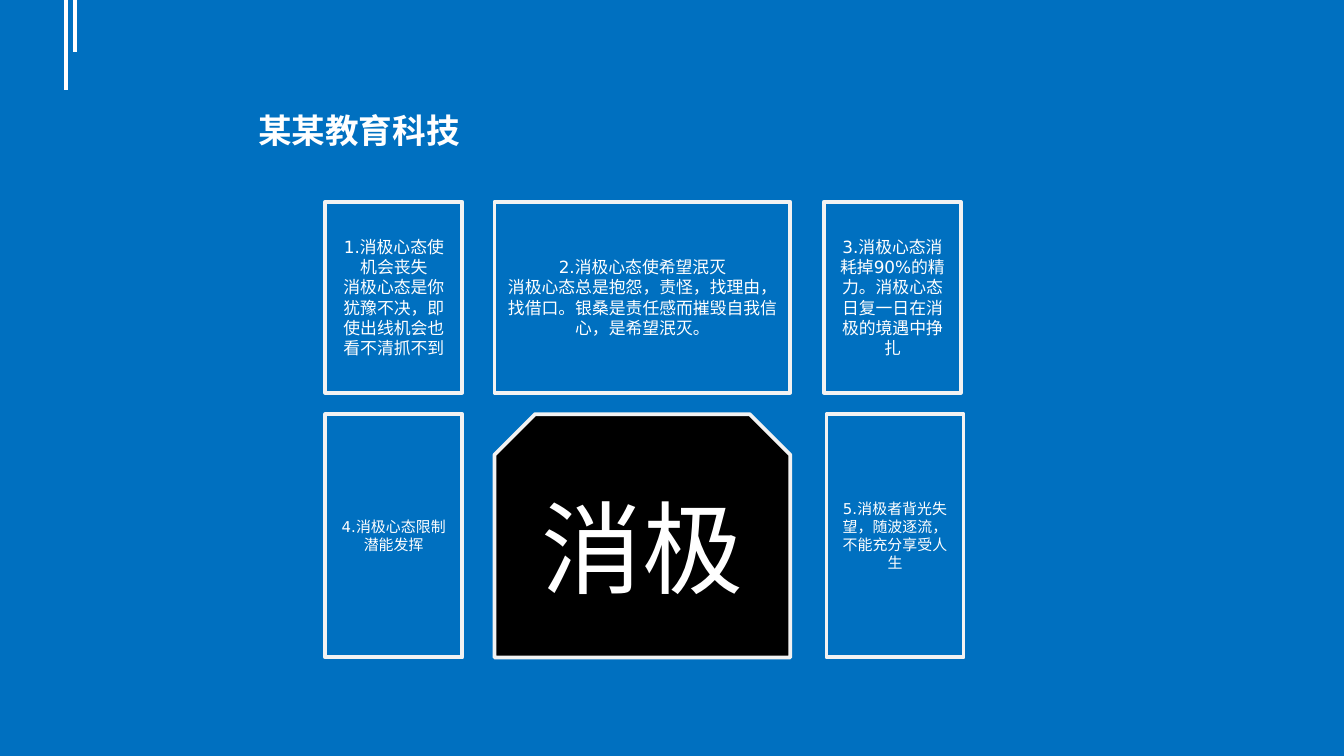
from dataclasses import dataclass

from lxml import etree
from pptx import Presentation
from pptx import util as u
from pptx.dml.color import RGBColor
from pptx.enum import shapes, text
from pptx.oxml.ns import qn


@dataclass(frozen=True)
class Theme:
    blue: RGBColor = RGBColor(0x00, 0x70, 0xC0)
    white: RGBColor = RGBColor(0xFF, 0xFF, 0xFF)
    black: RGBColor = RGBColor(0x00, 0x00, 0x00)
    border: RGBColor = RGBColor(0xF2, 0xF2, 0xF2)
    font: str = "DejaVu Sans"
    title: u.Length = u.Pt(18)
    body: u.Length = u.Pt(9)
    small: u.Length = u.Pt(8)
    hero: u.Length = u.Pt(54)
    frame: u.Length = u.Pt(2)
    stripe: u.Length = u.Pt(2.25)


T = Theme()
W = u.Inches(10)
H = W * 9 // 16
GRID_COLUMNS, GRID_ROWS = 4.75, 3.39
COLUMNS = (1.02, 2.2, 1.02)
COLUMN_GAPS = ((0.24, 0.25), (0.24, 0.27))
ROWS, ROW_GAPS = (1.42, 1.81), (0.16,)
RECT = shapes.MSO_SHAPE.RECTANGLE
SNIPPED = shapes.MSO_SHAPE.SNIP_2_SAME_RECTANGLE

CARDS = [
    (1, 1, SNIPPED, T.black, T.hero, ["消极"]),
    (1, 0, RECT, T.blue, T.body,
     ["2.消极心态使希望泯灭",
      "消极心态总是抱怨，责怪，找理由，找借口。银桑是责任感而摧毁自我信心，是希望泯灭。"]),
    (0, 0, RECT, T.blue, T.body,
     ["1.消极心态使机会丧失", "消极心态是你犹豫不决，即使出线机会也看不清抓不到"]),
    (0, 1, RECT, T.blue, T.small, ["4.消极心态限制潜能发挥"]),
    (2, 0, RECT, T.blue, T.body,
     ["3.消极心态消耗掉90%的精力。消极心态日复一日在消极的境遇中挣扎"]),
    (2, 1, RECT, T.blue, T.small, ["5.消极者背光失望，随波逐流，不能充分享受人生"]),
]


def percent(x, y, w, h):
    return tuple(int(side * part / 100)
                 for side, part in ((W, x), (H, y), (W, w), (H, h)))


def tracks(start, unit, sizes, gaps):
    spans = []
    for size, gap in zip(sizes, (*gaps, 0)):
        spans.append((int(start), int(size * unit)))
        start += (size + gap) * unit
    return spans


def write(tf, lines, size, align, bold=False):
    tf.word_wrap = True
    tf.text = "\n".join(lines)
    for p in tf.paragraphs:
        p.alignment = align
        p.font.name, p.font.size, p.font.bold = T.font, size, bold
        p.font.color.rgb = T.white


def add_stripes(s, box):
    left, top, width, height = box
    for x, drop in ((left, height), (left + width, int(height * 0.58))):
        line = s.shapes.add_connector(
            shapes.MSO_CONNECTOR.STRAIGHT, x, top, x, top + drop)
        line.line.color.rgb = T.white
        line.line.width = T.stripe
        etree.SubElement(line._element.spPr, qn("a:effectLst"))


def add_title(s, box, words):
    sp = s.shapes.title
    sp.left, sp.top, sp.width, sp.height = box
    tf = sp.text_frame
    tf.auto_size = text.MSO_AUTO_SIZE.NONE
    tf.vertical_anchor = text.MSO_ANCHOR.TOP
    write(tf, [words], T.title, text.PP_ALIGN.LEFT, bold=True)


def add_cards(s, box):
    left, top, width, height = box
    columns = [tracks(left, width / GRID_COLUMNS, COLUMNS, gaps)
               for gaps in COLUMN_GAPS]
    rows = tracks(top, height / GRID_ROWS, ROWS, ROW_GAPS)
    for column, row, kind, fill, size, lines in CARDS:
        (x, w), (y, h) = columns[row][column], rows[row]
        sp = s.shapes.add_shape(kind, x, y, w, h)
        sp.shadow.inherit = False
        sp.fill.solid()
        sp.fill.fore_color.rgb = fill
        sp.line.color.rgb = T.border
        sp.line.width = T.frame
        sp.text_frame.vertical_anchor = text.MSO_ANCHOR.MIDDLE
        write(sp.text_frame, lines, size, text.PP_ALIGN.CENTER)


def main():
    prs = Presentation()
    prs.slide_width, prs.slide_height = W, H
    s = prs.slides.add_slide(prs.slide_layouts[5])
    s.background.fill.solid()
    s.background.fill.fore_color.rgb = T.blue
    add_stripes(s, percent(4.9, 0, 0.7, 11.9))
    add_title(s, percent(18.2, 13.7, 78.7, 11.38), "某某教育科技")
    add_cards(s, percent(24.2, 26.7, 47.5, 60.27))
    prs.save("out.pptx")


if __name__ == "__main__":
    main()
